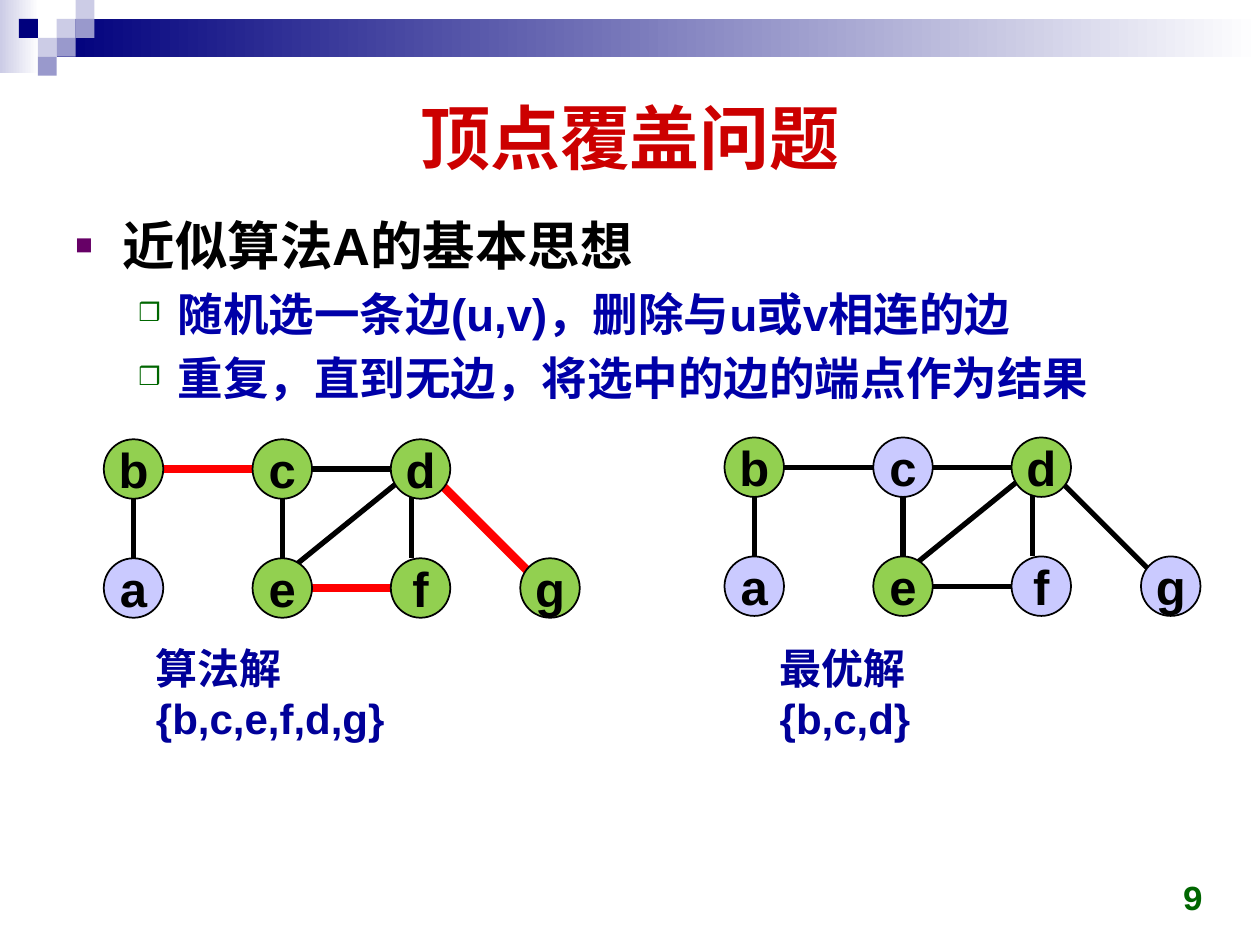
"""Build the vertex cover slide comparing the approximate and optimal solutions."""
from dataclasses import dataclass
from typing import Any

import lxml.etree
import pptx
import pptx.dml.color
import pptx.enum.shapes
import pptx.enum.text
import pptx.oxml.ns
import pptx.util

Pt = pptx.util.Pt
ALIGN = pptx.enum.text.PP_ALIGN
ANCHOR = pptx.enum.text.MSO_ANCHOR
SHAPE = pptx.enum.shapes.MSO_SHAPE

COLORS = {
    "title": "CC0000", "black": "000000", "point": "0000A8", "caption": "000099",
    "purple": "660066", "green": "006600", "chosen": "92D050", "plain": "CACAFF",
    "red": "FF0000", "navy": "00007D", "pale": "CCCCE6", "mid": "9999CC", "white": "FFFFFF",
}
CELL = 10.8
NODE_SIZE = 34
NODES = {"b": (0, 0), "a": (0, 68), "c": (85, 0), "f": (164, 68),
         "d": (164, 0), "e": (85, 68), "g": (238, 68)}
EDGES = {
    "bc": (28, 17, 85, 17), "ba": (17, 29, 17, 68), "ce": (102, 29, 102, 68),
    "df": (176, 29, 176, 68), "cd": (113, 17, 164, 17), "ef": (113, 85, 164, 85),
    "ed": (107, 74, 170, 23), "dg": (189, 22, 246, 79),
}


@dataclass(frozen=True)
class Tile:
    column: int
    row: int
    color: str


@dataclass(frozen=True)
class Point:
    text: str
    size: float
    color: str
    bullet: str
    bullet_color: str
    margin: float
    hanging: float
    level: int


@dataclass(frozen=True)
class Graph:
    left: float
    top: float
    chosen_nodes: str
    chosen_edges: tuple[str, ...]
    caption: str
    caption_left: float
    caption_width: float


TILES = [Tile(3, 1, "pale"), Tile(4, 0, "pale"), Tile(4, 1, "mid"), Tile(2, 2, "pale"),
         Tile(1, 1, "navy"), Tile(3, 2, "mid"), Tile(2, 3, "mid")]
POINTS = [
    Point("近似算法A的基本思想", 30, "black", "■", "purple", 27, 27, 0),
    Point("随机选一条边(u,v)，删除与u或v相连的边", 26, "point", "❒", "green", 58.5, 22.5, 1),
    Point("重复，直到无边，将选中的边的端点作为结果", 26, "point", "❒", "green", 58.5, 22.5, 1),
]
GRAPHS = [
    Graph(59.3, 251, "bcdefg", ("bc", "ef", "dg"), "算法解\v{b,c,e,f,d,g}", 82, 220),
    Graph(414, 250, "bde", (), "最优解\v{b,c,d}", 438.5, 163),
]


def rgb(name: str) -> pptx.dml.color.RGBColor:
    """Return a named colour."""
    return pptx.dml.color.RGBColor.from_string(COLORS[name])


def apply_format(target: Any, values: dict[str, Any]) -> None:
    """Set each format value on the target."""
    for name, value in values.items():
        setattr(target, name, value)


def format_text(paragraph: Any, size: float, color: str, font: str = "Arial") -> None:
    """Make all runs of a paragraph bold in one font and colour."""
    for run in paragraph.runs:
        apply_format(run.font, {"size": Pt(size), "name": font, "bold": True})
        run.font.color.rgb = rgb(color)


def add_text(slide: Any, box: tuple[float, ...], text: str, size: float, color: str,
             frame_format: dict[str, Any], font: str = "Arial",
             alignment: Any = ALIGN.LEFT) -> None:
    """Add a text box with one paragraph."""
    shape = slide.shapes.add_textbox(*map(Pt, box))
    apply_format(shape.text_frame, frame_format)
    paragraph = shape.text_frame.paragraphs[0]
    apply_format(paragraph, {"text": text, "alignment": alignment})
    format_text(paragraph, size, color, font)


def add_band(slide: Any, box: tuple[float, ...], *colors: str) -> None:
    """Add an unlined rectangle with a solid or a left-to-right gradient fill."""
    shape = slide.shapes.add_shape(SHAPE.RECTANGLE, *map(Pt, box))
    shape.shadow.inherit = False
    shape.line.fill.background()
    if len(colors) == 1:
        shape.fill.solid()
        shape.fill.fore_color.rgb = rgb(colors[0])
        return
    shape.fill.gradient()
    shape.fill.gradient_angle = 0
    for stop, color in zip(shape.fill.gradient_stops, colors):
        stop.color.rgb = rgb(color)


def add_bullet(paragraph: Any, point: Point) -> None:
    """Give a paragraph its bullet and hanging indent."""
    properties = paragraph._p.get_or_add_pPr()
    properties.set("marL", str(Pt(point.margin)))
    properties.set("indent", str(-Pt(point.hanging)))
    qn = pptx.oxml.ns.qn
    color = lxml.etree.SubElement(properties, qn("a:buClr"))
    lxml.etree.SubElement(color, qn("a:srgbClr"), val=COLORS[point.bullet_color])
    lxml.etree.SubElement(properties, qn("a:buSzPct"), val="55000")
    lxml.etree.SubElement(properties, qn("a:buFont"), typeface="Arial")
    lxml.etree.SubElement(properties, qn("a:buChar"), char=point.bullet)


def add_points(slide: Any) -> None:
    """Add the bulleted outline of the algorithm."""
    frame = slide.shapes.add_textbox(Pt(36), Pt(116.6), Pt(648), Pt(374.4)).text_frame
    frame.word_wrap = True
    for index, point in enumerate(POINTS):
        paragraph = frame.add_paragraph() if index else frame.paragraphs[0]
        apply_format(paragraph, {"text": point.text, "level": point.level, "line_spacing": 1.05,
                                 "space_before": Pt(point.size * 0.15)})
        format_text(paragraph, point.size, point.color)
        add_bullet(paragraph, point)


def add_edge(slide: Any, graph: Graph, ends: tuple[float, ...], color: str, width: float) -> None:
    """Add one edge, with its ends measured from the graph corner."""
    x1, y1, x2, y2 = ends
    edge = slide.shapes.add_connector(
        pptx.enum.shapes.MSO_CONNECTOR.STRAIGHT,
        Pt(graph.left + x1), Pt(graph.top + y1), Pt(graph.left + x2), Pt(graph.top + y2))
    edge.line.color.rgb = rgb(color)
    edge.line.width = Pt(width)
    lxml.etree.SubElement(edge._element.spPr, pptx.oxml.ns.qn("a:effectLst"))


def add_node(slide: Any, graph: Graph, name: str) -> None:
    """Add one labelled node, green when it is in the cover."""
    x, y = NODES[name]
    node = slide.shapes.add_shape(SHAPE.OVAL, Pt(graph.left + x), Pt(graph.top + y),
                                  Pt(NODE_SIZE), Pt(NODE_SIZE))
    node.shadow.inherit = False
    node.fill.solid()
    node.fill.fore_color.rgb = rgb("chosen" if name in graph.chosen_nodes else "plain")
    node.line.color.rgb = rgb("black")
    node.line.width = Pt(1)
    apply_format(node.text_frame, {"margin_left": 0, "margin_top": 0, "margin_right": 0,
                                   "margin_bottom": 0, "word_wrap": False,
                                   "vertical_anchor": ANCHOR.MIDDLE})
    paragraph = node.text_frame.paragraphs[0]
    apply_format(paragraph, {"text": name, "alignment": ALIGN.CENTER})
    format_text(paragraph, 28, "black")


def add_graph(slide: Any, graph: Graph) -> None:
    """Add the edges, nodes and caption of one graph."""
    for ends in EDGES.values():
        add_edge(slide, graph, ends, "black", 3)
    for name in graph.chosen_edges:
        add_edge(slide, graph, EDGES[name], "red", 5)
    for name in NODES:
        add_node(slide, graph, name)
    add_text(slide, (graph.caption_left, 363.6, graph.caption_width, 36), graph.caption,
             24, "caption", {"word_wrap": False})


def main() -> None:
    """Build and save the presentation."""
    presentation = pptx.Presentation()
    apply_format(presentation, {"slide_width": Pt(720), "slide_height": Pt(540)})
    slide = presentation.slides.add_slide(presentation.slide_layouts[5])
    add_band(slide, (0, 0, 22.3, 41.8), "pale", "white")
    add_band(slide, (3 * CELL, CELL, 720 - 3 * CELL, 2 * CELL), "navy", "white")
    for tile in TILES:
        add_band(slide, (tile.column * CELL, tile.row * CELL, CELL, CELL), tile.color)
    title = slide.shapes.title
    apply_format(title, {"left": Pt(36), "top": Pt(36), "width": Pt(648), "height": Pt(83.5)})
    title.text_frame.vertical_anchor = ANCHOR.MIDDLE
    paragraph = title.text_frame.paragraphs[0]
    apply_format(paragraph, {"text": "顶点覆盖问题", "alignment": ALIGN.CENTER})
    format_text(paragraph, 40, "title")
    add_points(slide)
    add_text(slide, (527, 491.8, 167.8, 36), "9", 20, "green",
             {"word_wrap": True, "vertical_anchor": ANCHOR.BOTTOM}, "Courier New", ALIGN.RIGHT)
    for graph in GRAPHS:
        add_graph(slide, graph)
    presentation.save("out.pptx")


if __name__ == "__main__":
    main()
